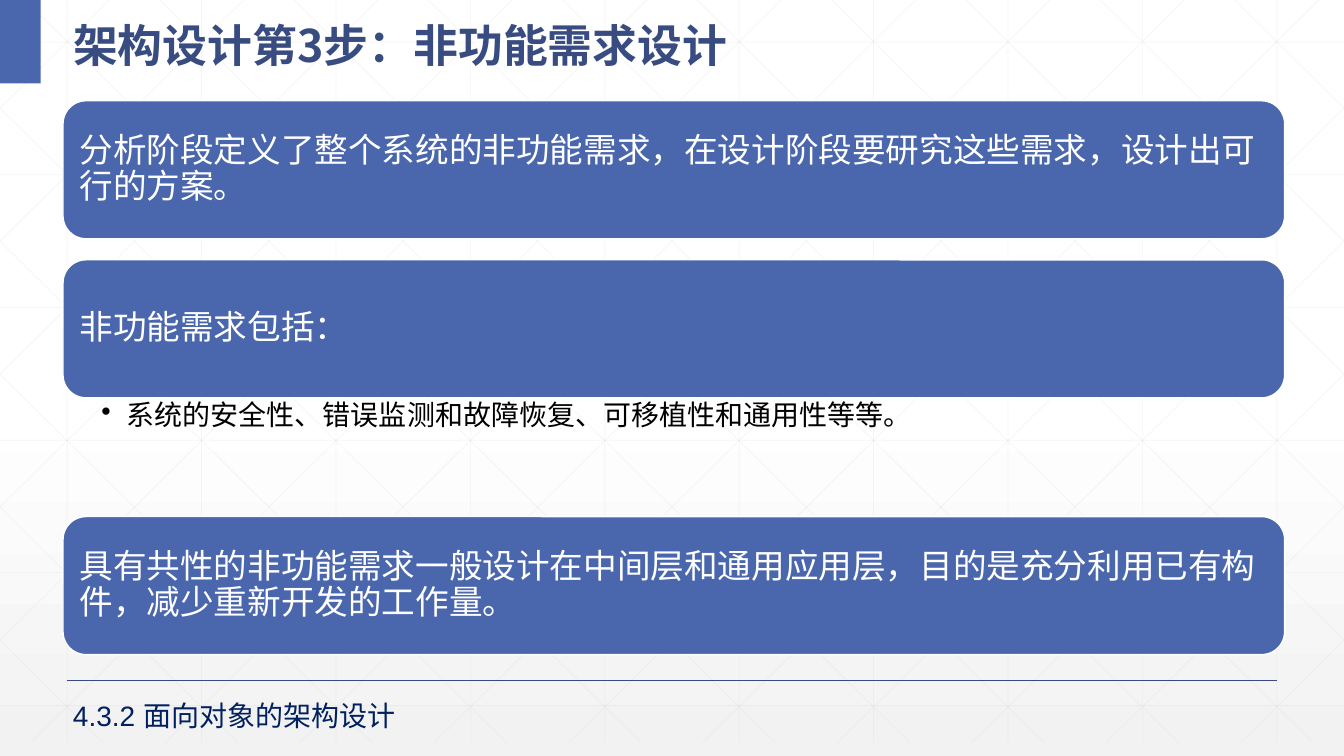
from copy import deepcopy

from pptx import Presentation
from pptx.dml.color import RGBColor
from pptx.enum import shapes, text
from pptx.oxml.ns import qn
from pptx.util import Pt

COLORS = {
    "white": "FFFFFF",
    "mist": "F2F2F2",
    "grid": "D9D9D9",
    "blue": "4A66AC",
    "deep": "384C81",
    "navy": "002060",
    "black": "000000",
}
CJK_FONT = "Noto Sans CJK SC"
WIDTH, HEIGHT = 960, 540
GRID_BOTTOM = 530.6


def rgb(name):
    return RGBColor.from_string(COLORS[name])


def write(shape, words, size=24, color="white", font="Arial", bold=False,
          anchor=text.MSO_ANCHOR.MIDDLE, insets=(7.2, 3.6, 7.2, 3.6),
          spacing=None, bullet=None):
    frame = shape.text_frame
    frame.word_wrap = True
    frame.auto_size = text.MSO_AUTO_SIZE.NONE
    frame.vertical_anchor = anchor
    frame.margin_left, frame.margin_top, frame.margin_right, frame.margin_bottom = map(Pt, insets)
    paragraph = frame.paragraphs[0]
    paragraph.alignment = text.PP_ALIGN.LEFT
    if spacing:
        paragraph.line_spacing = spacing
    if bullet:
        properties = paragraph._p.get_or_add_pPr()
        properties.set("marL", str(Pt(18)))
        properties.set("indent", str(Pt(-18)))
        mark = properties.makeelement(qn("a:buChar"), {"char": bullet})
        properties.append(mark)
    run = paragraph.add_run()
    run.text = words
    run.font.size = Pt(size)
    run.font.bold = bold
    run.font.name = font
    run.font.color.rgb = rgb(color)
    run_properties = run.font._element
    east_asian = run_properties.makeelement(qn("a:ea"), {"typeface": CJK_FONT})
    run_properties.find(qn("a:latin")).addnext(east_asian)


prs = Presentation()
prs.slide_width, prs.slide_height = Pt(WIDTH), Pt(HEIGHT)
slide = prs.slides.add_slide(prs.slide_layouts[5])

backdrop = slide.background.fill
backdrop.gradient()
backdrop.gradient_angle = 270
top_stop, bottom_stop = backdrop.gradient_stops
top_stop.color.rgb, top_stop.position = rgb("white"), 0
bottom_stop.color.rgb, bottom_stop.position = rgb("mist"), 1
stop_list = slide.element.find(".//" + qn("a:gsLst"))
middle_stop = deepcopy(stop_list[0])
middle_stop.set("pos", "53000")
stop_list.insert(1, middle_stop)
mist_color = stop_list[2][0]
mist_color.append(mist_color.makeelement(qn("a:alpha"), {"val": "65000"}))

grid_lines = [(48 + 96 * i, 0, 48 + 96 * i, GRID_BOTTOM) for i in range(10)]
grid_lines += [(0, 30 + 94.8 * i, WIDTH, 30 + 94.8 * i) for i in range(6)]
slope = 0.99
for i in range(-5, 10):
    start = 18 + 96 * i
    left = max(start, 0)
    right = min(start + GRID_BOTTOM / slope, WIDTH)
    upper, lower = (left - start) * slope, (right - start) * slope
    grid_lines.append((left, upper, right, lower))
    grid_lines.append((WIDTH - left, upper, WIDTH - right, lower))

rules = [(ends, "grid", 0.5) for ends in grid_lines]
rules.append(((48, 486, 912, 486), "deep", 1))
for ends, color, weight in rules:
    rule = slide.shapes.add_connector(shapes.MSO_CONNECTOR.STRAIGHT, *map(Pt, ends))
    rule.line.color.rgb = rgb(color)
    rule.line.width = Pt(weight)
    rule_properties = rule._element.spPr
    rule_properties.append(rule_properties.makeelement(qn("a:effectLst"), {}))
    if color == "grid":
        line_color = rule_properties.find(".//" + qn("a:srgbClr"))
        line_color.append(line_color.makeelement(qn("a:alpha"), {"val": "25000"}))

corner = slide.shapes.add_shape(shapes.MSO_SHAPE.RECTANGLE, 0, 0, Pt(29), Pt(59.5))
corner.shadow.inherit = False
corner.fill.solid()
corner.fill.fore_color.rgb = rgb("blue")
corner.line.fill.background()

title = slide.shapes.title
title.left, title.top, title.width, title.height = Pt(45), Pt(0), Pt(576), Pt(52.6)
title.element.getparent().append(title.element)
write(title, "架构设计第3步：非功能需求设计", size=32, color="deep", font=CJK_FONT,
      bold=True, spacing=1.3)

statements = [
    (72, "分析阶段定义了整个系统的非功能需求，在设计阶段要研究这些需求，设计出可行的方案。"),
    (185.6, "非功能需求包括："),
    (369, "具有共性的非功能需求一般设计在中间层和通用应用层，目的是充分利用已有构件，减少重新开发的工作量。"),
]
for top, words in statements:
    panel = slide.shapes.add_shape(shapes.MSO_SHAPE.ROUNDED_RECTANGLE,
                                   Pt(45), Pt(top), Pt(872.6), Pt(98.6))
    panel.shadow.inherit = False
    panel.fill.solid()
    panel.fill.fore_color.rgb = rgb("blue")
    panel.line.color.rgb = rgb("white")
    panel.line.width = Pt(1)
    write(panel, words, insets=(7, 7, 7, 7), spacing=0.9)

examples = slide.shapes.add_textbox(Pt(45), Pt(284.4), Pt(872.6), Pt(85))
write(examples, "系统的安全性、错误监测和故障恢复、可移植性和通用性等等。", size=20,
      color="black", anchor=text.MSO_ANCHOR.TOP, insets=(27.4, 2, 11.5, 2),
      spacing=0.9, bullet="•")

section = slide.shapes.add_textbox(Pt(45), Pt(495.4), Pt(337.7), Pt(31.7))
write(section, "4.3.2 面向对象的架构设计", size=20, color="navy", anchor=text.MSO_ANCHOR.TOP)

prs.save("out.pptx")
